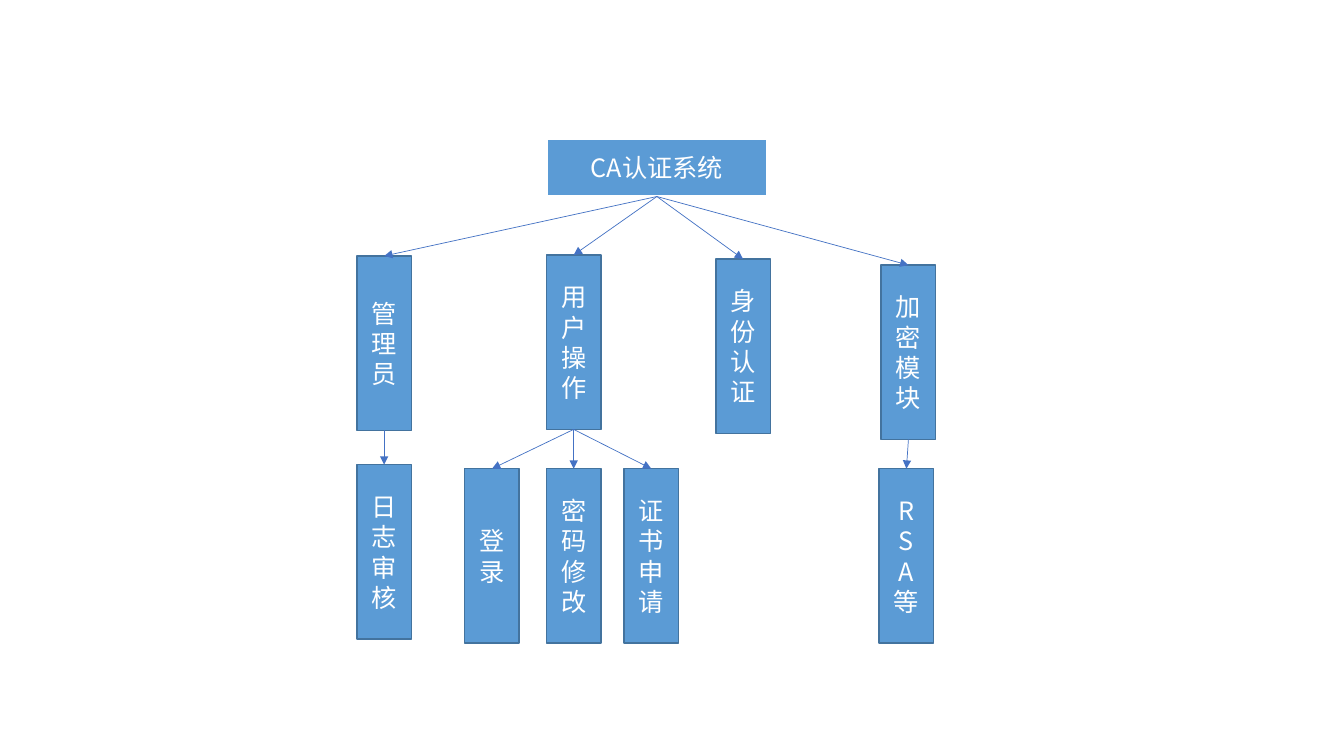
from lxml import etree
from pptx import Presentation
from pptx.dml.color import RGBColor
from pptx.enum.shapes import MSO_CONNECTOR, MSO_SHAPE
from pptx.enum.text import MSO_ANCHOR, PP_ALIGN
from pptx.oxml.ns import qn
from pptx.util import Inches, Pt

RECTANGLE = MSO_SHAPE.RECTANGLE
STRAIGHT = MSO_CONNECTOR.STRAIGHT
MIDDLE = MSO_ANCHOR.MIDDLE
CENTER = PP_ALIGN.CENTER

FONT = "Noto Sans CJK SC"
FILL, EDGE, ARROW, WHITE = "5B9BD5", "43739E", "4472C4", "FFFFFF"
NODE_WIDTH, NODE_HEIGHT = 0.54, 1.73
TOP, BOTTOM = 0, 2  # rectangle connection sites

ROOT = ("CA认证系统", (5.42, 1.38, 2.19, 0.57))
# Each module: label, left, top, then its functions in the same form
MODULES = [
    ("管理员", 3.54, 2.54, [("日志审核", 3.54, 4.61)]),
    ("用户操作", 5.42, 2.53, [("登录", 4.61, 4.65), ("密码修改", 5.42, 4.65),
                          ("证书申请", 6.19, 4.65)]),
    ("身份认证", 7.1, 2.57, []),
    ("加密模块", 8.74, 2.63, [("R\nS\nA\n等", 8.72, 4.65)]),
]


def color(value):
    """Turn a hex string into a colour."""
    return RGBColor.from_string(value)


def add_node(page, label, box, edge=EDGE, edge_width=1):
    """Draw a labelled rectangle in box (left, top, width, height)."""
    node = page.shapes.add_shape(RECTANGLE, *map(Inches, box))
    node.shadow.inherit = False
    node.fill.solid()
    node.fill.fore_color.rgb = color(FILL)
    node.line.color.rgb = color(edge)
    node.line.width = Pt(edge_width)
    frame = node.text_frame
    frame.word_wrap = True
    frame.vertical_anchor = MIDDLE
    frame.text = label
    for para in frame.paragraphs:
        para.alignment = CENTER
        para.line_spacing = Pt(21.6)
        for span in para.runs:
            span.font.size = Pt(18)
            span.font.name = FONT
            span.font.color.rgb = color(WHITE)
            east_asian = etree.SubElement(span.font._element, qn("a:ea"))
            east_asian.set("typeface", FONT)
    return node


def add_arrow(page, parent, child):
    """Link the bottom of parent to the top of child with an arrow."""
    arrow = page.shapes.add_connector(STRAIGHT, 0, 0, 0, 0)
    arrow.begin_connect(parent, BOTTOM)
    arrow.end_connect(child, TOP)
    arrow.line.color.rgb = color(ARROW)
    arrow.line.width = Pt(0.5)
    head = etree.SubElement(arrow.line._get_or_add_ln(), qn("a:tailEnd"))
    head.set("type", "triangle")
    etree.SubElement(arrow._element.spPr, qn("a:effectLst"))


def add_branches(page, parent, branches):
    """Draw the nodes below parent, and their own branches in turn."""
    for label, left, top, *below in branches:
        node = add_node(page, label, (left, top, NODE_WIDTH, NODE_HEIGHT))
        add_arrow(page, parent, node)
        for children in below:
            add_branches(page, node, children)


def add_tree(page):
    """Draw the whole system tree from its root."""
    label, box = ROOT
    root = add_node(page, label, box, WHITE, 1.5)
    add_branches(page, root, MODULES)


deck = Presentation()
deck.slide_width, deck.slide_height = Inches(13.33), Inches(7.5)
page = deck.slides.add_slide(deck.slide_layouts[6])
add_tree(page)
deck.save("out.pptx")
